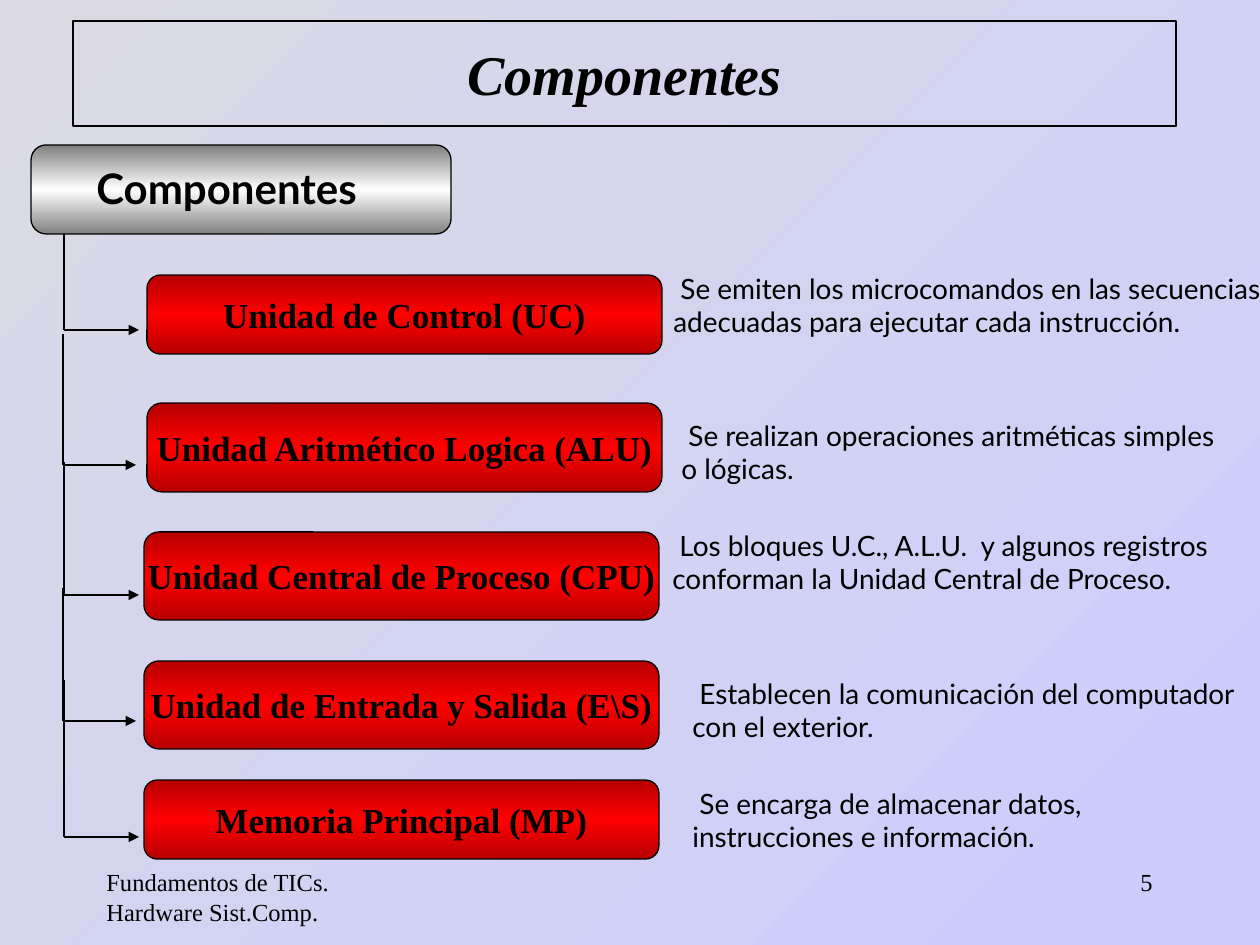
from lxml import etree
from pptx import Presentation
from pptx import util as u
from pptx.dml.color import RGBColor
from pptx.enum import shapes, text
from pptx.oxml.ns import qn

EMU_PER_PX = 914400 / 126
SERIF, SANS = "Times New Roman", "Lato"
COLORS = {"ink": "000000", "mist": "DBDAE4", "lilac": "CCCCFF",
          "gray": "808080", "white": "FFFFFF", "red": "FF0000"}

BACKGROUND = [(0, "mist", None), (100, "lilac", None)]
SILVER = [(0, "gray", None), (50, "white", None), (100, "gray", None)]
CRIMSON = [(0, "red", 46275), (50, "red", None), (100, "red", 46275)]

TITLE = ("Componentes", (73, 21, 1103, 105))
ROOT = ("Componentes", (31, 145, 420, 89), (84, 156, 378, 63))
FOOTERS = [
    ("Fundamentos de TICs. Hardware Sist.Comp.", (94, 861, 262, 63), text.PP_ALIGN.LEFT),
    ("5", (903, 861, 262, 63), text.PP_ALIGN.RIGHT),
]
UNITS = [
    {"name": "Unidad de Control (UC)", "bar": (147, 275, 515, 79),
     "arrow": (64, 234, 330, 139), "note": (661, 265, 620, 113),
     "detail": "Se emiten los microcomandos en las secuencias adecuadas para ejecutar cada instrucción."},
    {"name": "Unidad Aritmético Logica (ALU)", "bar": (147, 403, 515, 89),
     "arrow": (63, 334, 465, 136), "note": (669, 412, 580, 81),
     "detail": "Se realizan operaciones aritméticas simples o lógicas."},
    {"name": "Unidad Central de Proceso (CPU)", "bar": (144, 532, 515, 88),
     "arrow": (64, 462, 595, 139), "note": (660, 522, 580, 113),
     "detail": "Los bloques U.C., A.L.U.  y algunos registros conforman la Unidad Central de Proceso."},
    {"name": "Unidad de Entrada y Salida (E\\S)", "bar": (144, 661, 515, 88),
     "arrow": (63, 588, 721, 136), "note": (680, 670, 580, 81),
     "detail": "Establecen la comunicación del computador con el exterior."},
    {"name": "Memoria Principal (MP)", "bar": (144, 780, 515, 79),
     "arrow": (64, 680, 837, 139), "note": (680, 780, 580, 81),
     "detail": "Se encarga de almacenar datos, instrucciones e información."},
]


def px(value):
    return u.Emu(round(value * EMU_PER_PX))


def box(values):
    return [px(value) for value in values]


def color(name):
    return RGBColor.from_string(COLORS[name])


def outline(line):
    line.color.rgb = color("ink")
    line.width = u.Pt(0.75)


def paint_gradient(fill, owner, stops, angle):
    fill.gradient()
    gradient = next(owner.iter(qn("a:gradFill")))
    stop_list = gradient.find(qn("a:gsLst"))
    for old_stop in list(stop_list):
        stop_list.remove(old_stop)
    for position, name, shade in stops:
        stop = etree.SubElement(stop_list, qn("a:gs"), pos=str(position * 1000))
        tint = etree.SubElement(stop, qn("a:srgbClr"), val=COLORS[name])
        if shade:
            etree.SubElement(tint, qn("a:shade"), val=str(shade))
    gradient.find(qn("a:lin")).set("ang", str(angle * 60000))


def write(shape, words, font, size, align=text.PP_ALIGN.LEFT,
          anchor=text.MSO_ANCHOR.TOP, wrap=True, bold=False, italic=False):
    frame = shape.text_frame
    frame.auto_size = text.MSO_AUTO_SIZE.NONE
    frame.word_wrap = wrap
    frame.vertical_anchor = anchor
    paragraph = frame.paragraphs[0]
    paragraph.alignment = align
    run = paragraph.add_run()
    run.text = words
    run.font.name, run.font.size = font, u.Pt(size)
    run.font.bold, run.font.italic = bold, italic
    run.font.color.rgb = color("ink")


def add_bar(parent, place, stops):
    bar = parent.add_shape(shapes.MSO_SHAPE.ROUNDED_RECTANGLE, *box(place))
    bar.adjustments[0] = 0.17
    bar.shadow.inherit = False
    paint_gradient(bar.fill, bar._element.spPr, stops, 90)
    outline(bar.line)
    return bar


def add_line(parent, start, end, arrow=False):
    line = parent.add_connector(shapes.MSO_CONNECTOR.STRAIGHT, *box(start + end))
    outline(line.line)
    if arrow:
        etree.SubElement(line.line._get_or_add_ln(), qn("a:tailEnd"), type="triangle")
    etree.SubElement(line._element.spPr, qn("a:effectLst"))


def add_branch(slide, x, top, bottom, tip):
    group = slide.shapes.add_group_shape()
    add_line(group.shapes, (x, top), (x, bottom))
    add_line(group.shapes, (x, bottom), (tip, bottom), arrow=True)


def main():
    presentation = Presentation()
    presentation.slide_width, presentation.slide_height = px(1260), px(945)
    slide = presentation.slides.add_slide(presentation.slide_layouts[5])
    paint_gradient(slide.background.fill, slide._element, BACKGROUND, 45)

    words, place = TITLE
    title = slide.shapes.title
    title.left, title.top, title.width, title.height = box(place)
    outline(title.line)
    write(title, words, SERIF, 32, text.PP_ALIGN.CENTER,
          text.MSO_ANCHOR.MIDDLE, bold=True, italic=True)

    for words, place, align in FOOTERS:
        write(slide.shapes.add_textbox(*box(place)), words, SERIF, 14, align)

    words, bar_place, label_place = ROOT
    root = slide.shapes.add_group_shape()
    add_bar(root.shapes, bar_place, SILVER)
    write(root.shapes.add_textbox(*box(label_place)), words, SANS, 24, bold=True)

    for unit in UNITS:
        add_branch(slide, *unit["arrow"])
        bar = add_bar(slide.shapes, unit["bar"], CRIMSON)
        write(bar, unit["name"], SERIF, 20, text.PP_ALIGN.CENTER,
              text.MSO_ANCHOR.MIDDLE, wrap=False, bold=True)
        note = slide.shapes.add_textbox(*box(unit["note"]))
        write(note, " " + unit["detail"], SANS, 16)

    presentation.save("out.pptx")


if __name__ == "__main__":
    main()
